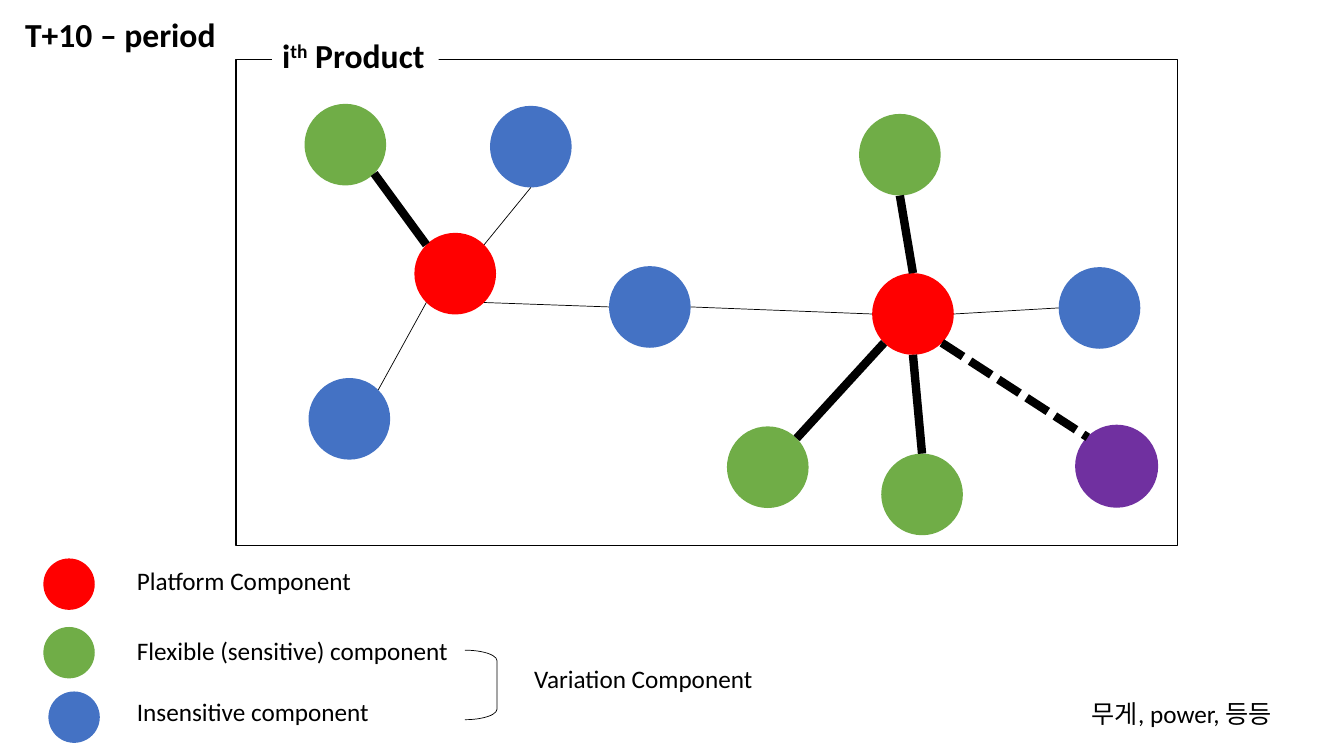
from dataclasses import dataclass
from math import sqrt

from lxml import etree
from pptx import Presentation
from pptx.dml.color import RGBColor
from pptx.enum.dml import MSO_LINE
from pptx.enum.shapes import MSO_CONNECTOR, MSO_SHAPE
from pptx.enum.text import MSO_ANCHOR, PP_ALIGN
from pptx.oxml.ns import qn
from pptx.util import Inches, Pt

STRAIGHT = MSO_CONNECTOR.STRAIGHT
OVAL = MSO_SHAPE.OVAL
RECTANGLE = MSO_SHAPE.RECTANGLE
RIGHT_BRACKET = MSO_SHAPE.RIGHT_BRACKET
SHORT_DASH = MSO_LINE.SQUARE_DOT
LEFT = PP_ALIGN.LEFT
TOP = MSO_ANCHOR.TOP


@dataclass(frozen=True)
class Theme:
    """Colours, font, type sizes and line widths of the slide."""
    platform: str = "FF0000"
    flexible: str = "70AD47"
    insensitive: str = "4472C4"
    added: str = "7030A0"
    ink: str = "000000"
    paper: str = "FFFFFF"
    font: str = "Calibri"
    title_size: int = 24
    label_size: int = 18
    thick: float = 6
    border: float = 1
    thin: float = 0.5


THEME = Theme()
NODE_SIZE = 0.81
KEY_SIZE = 0.51
LABEL_HEIGHT = 0.4
TITLE_HEIGHT = 0.5

DIAGONAL = sqrt(0.5)
SITES = {
    "top": (0, -1), "bottom": (0, 1), "left": (-1, 0), "right": (1, 0),
    "top left": (-DIAGONAL, -DIAGONAL), "top right": (DIAGONAL, -DIAGONAL),
    "bottom left": (-DIAGONAL, DIAGONAL), "bottom right": (DIAGONAL, DIAGONAL),
}

NODES = {
    "flexible left": (0.68, 0.44, THEME.flexible),
    "insensitive top": (2.52, 0.46, THEME.insensitive),
    "platform left": (1.77, 1.72, THEME.platform),
    "platform right": (6.31, 2.12, THEME.platform),
    "flexible low": (4.87, 3.64, THEME.flexible),
    "insensitive low": (0.72, 3.16, THEME.insensitive),
    "flexible top": (6.18, 0.54, THEME.flexible),
    "flexible bottom": (6.4, 3.91, THEME.flexible),
    "insensitive middle": (3.7, 2.05, THEME.insensitive),
    "insensitive right": (8.16, 2.06, THEME.insensitive),
    "added": (8.33, 3.63, THEME.added),
}

LINKS = [
    ("flexible left", "bottom right", "platform left", "top left", THEME.thick, None),
    ("insensitive top", "bottom", "platform left", "top right", THEME.thin, None),
    ("insensitive low", "top right", "platform left", "bottom left", THEME.thin, None),
    ("platform left", "bottom right", "insensitive middle", "left", THEME.thin, None),
    ("insensitive right", "left", "platform right", "right", THEME.thin, None),
    ("platform right", "bottom", "flexible bottom", "top", THEME.thick, None),
    ("flexible low", "top right", "platform right", "bottom left", THEME.thick, None),
    ("platform right", "top", "flexible top", "bottom", THEME.thick, None),
    ("platform right", "left", "insensitive middle", "right", THEME.thin, None),
    ("platform right", "bottom right", "added", "top left", THEME.thick, SHORT_DASH),
]

KEYS = [
    ("Platform Component", 0, 0, 0.02, 2.56, THEME.platform),
    ("Flexible (sensitive) component", 0, 0.68, 0.71, 3.67, THEME.flexible),
    ("Insensitive component", 0.05, 1.32, 1.32, 3.26, THEME.insensitive),
]


def colour(code):
    """Turn a hex code into a colour."""
    return RGBColor.from_string(code)


def add_figure(page, kind, left, top, width, height, fill=None, line=None, weight=THEME.border):
    """Add a preset shape with the given fill and line."""
    figure = page.shapes.add_shape(kind, Inches(left), Inches(top), Inches(width), Inches(height))
    figure.shadow.inherit = False
    if fill:
        figure.fill.solid()
        figure.fill.fore_color.rgb = colour(fill)
    else:
        figure.fill.background()
    if line:
        figure.line.color.rgb = colour(line)
        figure.line.width = Pt(weight)
    else:
        figure.line.fill.background()
    return figure


def add_link(page, start, end, weight, dash=None):
    """Draw a straight line between two points."""
    link = page.shapes.add_connector(STRAIGHT, *(Inches(value) for value in (*start, *end)))
    link.line.color.rgb = colour(THEME.ink)
    link.line.width = Pt(weight)
    if dash:
        link.line.dash_style = dash
    etree.SubElement(link._element.spPr, qn("a:effectLst"))


def write_text(box, text, size=THEME.label_size, bold=False, raised=None):
    """Write text into a box, raising the one part named by raised."""
    frame = box.text_frame
    frame.word_wrap = True
    frame.vertical_anchor = TOP
    para = frame.paragraphs[0]
    para.alignment = LEFT
    before, mark, after = text.partition(raised) if raised else (text, "", "")
    for part in filter(None, (before, mark, after)):
        span = para.add_run()
        span.text = part
        span.font.name = THEME.font
        span.font.size = Pt(size)
        span.font.bold = bold
        span.font.color.rgb = colour(THEME.ink)
        if part == raised:
            span._r.get_or_add_rPr().set("baseline", "30000")


def add_label(page, text, left, top, width, height=LABEL_HEIGHT, **style):
    """Add a text box holding one label."""
    box = page.shapes.add_textbox(Inches(left), Inches(top), Inches(width), Inches(height))
    write_text(box, text, **style)


def site_point(left, top, node, site):
    """Find a point on the rim of a node."""
    across, down, _ = NODES[node]
    step_x, step_y = SITES[site]
    radius = NODE_SIZE / 2
    return left + across + radius * (1 + step_x), top + down + radius * (1 + step_y)


def draw_product(page, left, top, width, height):
    """Draw the framed product network with its heading."""
    for across, down, fill in NODES.values():
        line = fill if fill == THEME.added else None
        add_figure(page, OVAL, left + across, top + down, NODE_SIZE, NODE_SIZE, fill, line)
    for start, start_site, end, end_site, weight, dash in LINKS:
        add_link(page, site_point(left, top, start, start_site),
                 site_point(left, top, end, end_site), weight, dash)
    add_figure(page, RECTANGLE, left, top, width, height, line=THEME.ink)
    heading = add_figure(page, RECTANGLE, left + 0.36, top - 0.29, 1.65, TITLE_HEIGHT, THEME.paper)
    write_text(heading, "ith Product", size=THEME.title_size, bold=True, raised="th")


def draw_legend(page, left, top):
    """Draw the colour keys and the bracket that groups two of them."""
    for text, across, key_down, label_down, width, fill in KEYS:
        add_figure(page, OVAL, left + across, top + key_down, KEY_SIZE, KEY_SIZE, fill)
        add_label(page, text, left + 0.83, top + label_down, width)
    bracket = add_figure(page, RIGHT_BRACKET, left + 4.18, top + 0.91, 0.32, 0.69,
                         line=THEME.ink, weight=THEME.thin)
    bracket.adjustments[0] = 0.33
    add_label(page, "Variation Component", left + 4.77, top + 0.99, 2.56)


def main():
    """Build the slide and save it."""
    deck = Presentation()
    deck.slide_width = Inches(13.33)
    deck.slide_height = Inches(7.5)
    page = deck.slides.add_slide(deck.slide_layouts[6])
    draw_product(page, 2.34, 0.59, 9.34, 4.82)
    draw_legend(page, 0.43, 5.54)
    add_label(page, "T+10 – period", 0.15, 0.09, 2.56, TITLE_HEIGHT,
              size=THEME.title_size, bold=True)
    add_label(page, "무게, power, 등등", 10.73, 6.88, 2.19)
    deck.save("out.pptx")


if __name__ == "__main__":
    main()
